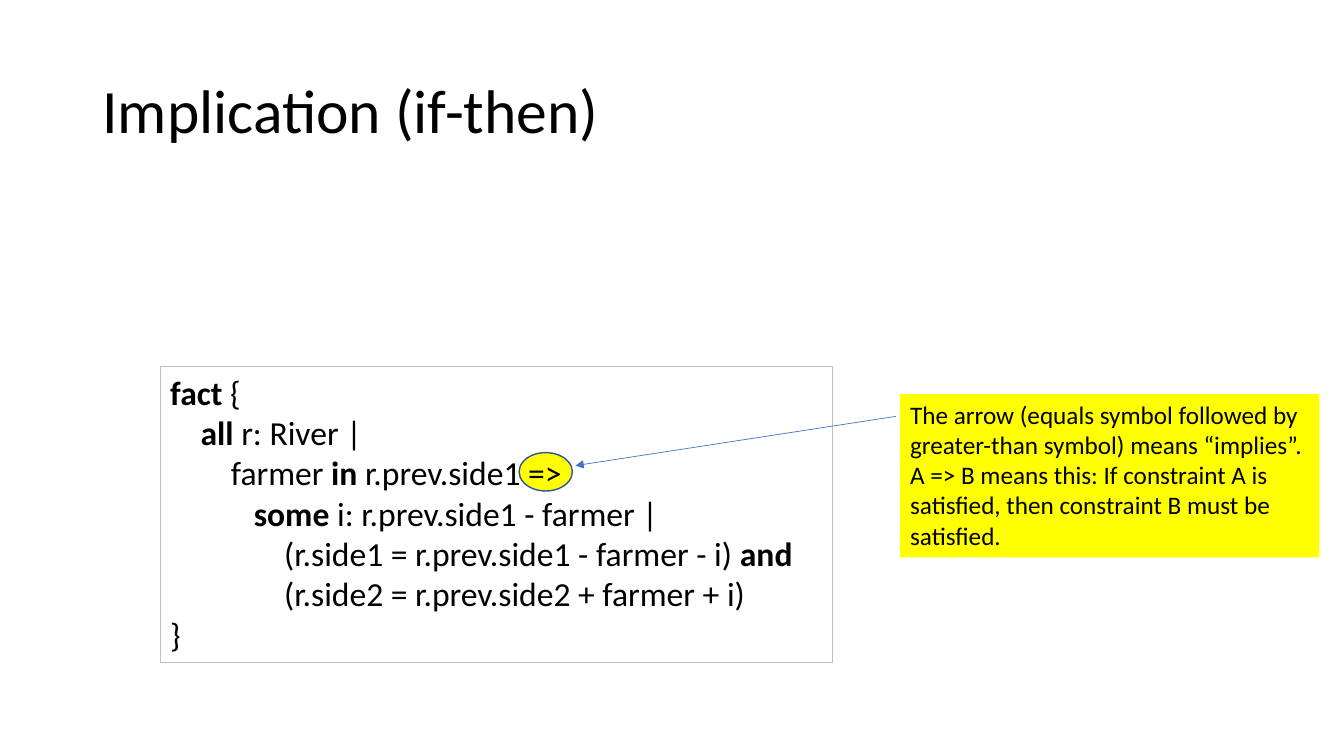
from lxml.etree import SubElement
from pptx import Presentation
from pptx.dml.color import RGBColor
from pptx.enum.shapes import MSO_CONNECTOR, MSO_SHAPE
from pptx.enum.text import MSO_ANCHOR, PP_ALIGN
from pptx.oxml.ns import qn
from pptx.util import Pt

COLORS = {
    "text": "000000",
    "highlight": "FFFF00",
    "ellipse_line": "325491",
    "frame": "BFBFBF",
    "arrow": "4472C4",
}

CODE = [
    [("fact", True), (" {", False)],
    [("    ", False), ("all", True), (" r: River |", False)],
    [("        farmer ", False), ("in", True), (" r.prev.side1 =>", False)],
    [("           ", False), ("some", True), (" i: r.prev.side1 - farmer |", False)],
    [("               (r.side1 = r.prev.side1 - farmer - i) ", False), ("and", True)],
    [("               (r.side2 = r.prev.side2 + farmer + i)", False)],
    [("}", False)],
]

NOTE = (
    "The arrow (equals symbol followed by greater-than symbol) means “implies”. "
    "A => B means this: If constraint A is satisfied, "
    "then constraint B must be satisfied."
)


class SlideBuilder:
    """Draw styled elements on one slide, with lengths in points."""

    font_name = "Calibri"

    def __init__(self, page):
        self.page = page

    def color(self, name):
        return RGBColor.from_string(COLORS[name])

    def style(self, para, size):
        para.alignment = PP_ALIGN.LEFT
        para.font.name = self.font_name
        para.font.size = Pt(size)
        para.font.color.rgb = self.color("text")

    def title(self, text, left, top, width, height):
        box = self.page.shapes.title
        box.left, box.top, box.width, box.height = map(Pt, (left, top, width, height))
        frame = box.text_frame
        frame.text = text
        frame.vertical_anchor = MSO_ANCHOR.MIDDLE
        para = frame.paragraphs[0]
        para.line_spacing = 0.9
        self.style(para, 44)

    def shape(self, kind, left, top, width, height, fill=None, line=None, weight=1):
        box = self.page.shapes.add_shape(kind, *map(Pt, (left, top, width, height)))
        box.shadow.inherit = False
        if fill:
            box.fill.solid()
            box.fill.fore_color.rgb = self.color(fill)
        else:
            box.fill.background()
        if line:
            box.line.color.rgb = self.color(line)
            box.line.width = Pt(weight)
        else:
            box.line.fill.background()
        return box

    def text(self, box, lines, size):
        frame = box.text_frame
        frame.word_wrap = True
        frame.vertical_anchor = MSO_ANCHOR.TOP
        for index, spans in enumerate(lines):
            para = frame.add_paragraph() if index else frame.paragraphs[0]
            self.style(para, size)
            for content, bold in spans:
                span = para.add_run()
                span.text = content
                if bold:
                    span.font.bold = True

    def arrow(self, start, end):
        line = self.page.shapes.add_connector(
            MSO_CONNECTOR.STRAIGHT, *map(Pt, (*start, *end))
        )
        line.line.color.rgb = self.color("arrow")
        line.line.width = Pt(0.5)
        SubElement(line.line._get_or_add_ln(), qn("a:tailEnd"), type="triangle")
        SubElement(line._element.spPr, qn("a:effectLst"))


def main():
    deck = Presentation()
    deck.slide_width, deck.slide_height = Pt(960), Pt(540)
    builder = SlideBuilder(deck.slides.add_slide(deck.slide_layouts[5]))

    builder.title("Implication (if-then)", 66, 28.75, 828, 104.4)
    builder.shape(
        MSO_SHAPE.OVAL, 370.8, 323.3, 38, 27.4, fill="highlight", line="ellipse_line"
    )
    code_box = builder.shape(
        MSO_SHAPE.RECTANGLE, 114.5, 262, 480, 211, line="frame", weight=0.75
    )
    builder.text(code_box, CODE, 24)
    builder.arrow((640, 297.4), (411, 332.6))
    note_box = builder.shape(
        MSO_SHAPE.RECTANGLE, 643, 281.5, 299.5, 116.6, fill="highlight"
    )
    builder.text(note_box, [[(NOTE, False)]], 18)

    deck.save("out.pptx")


if __name__ == "__main__":
    main()
